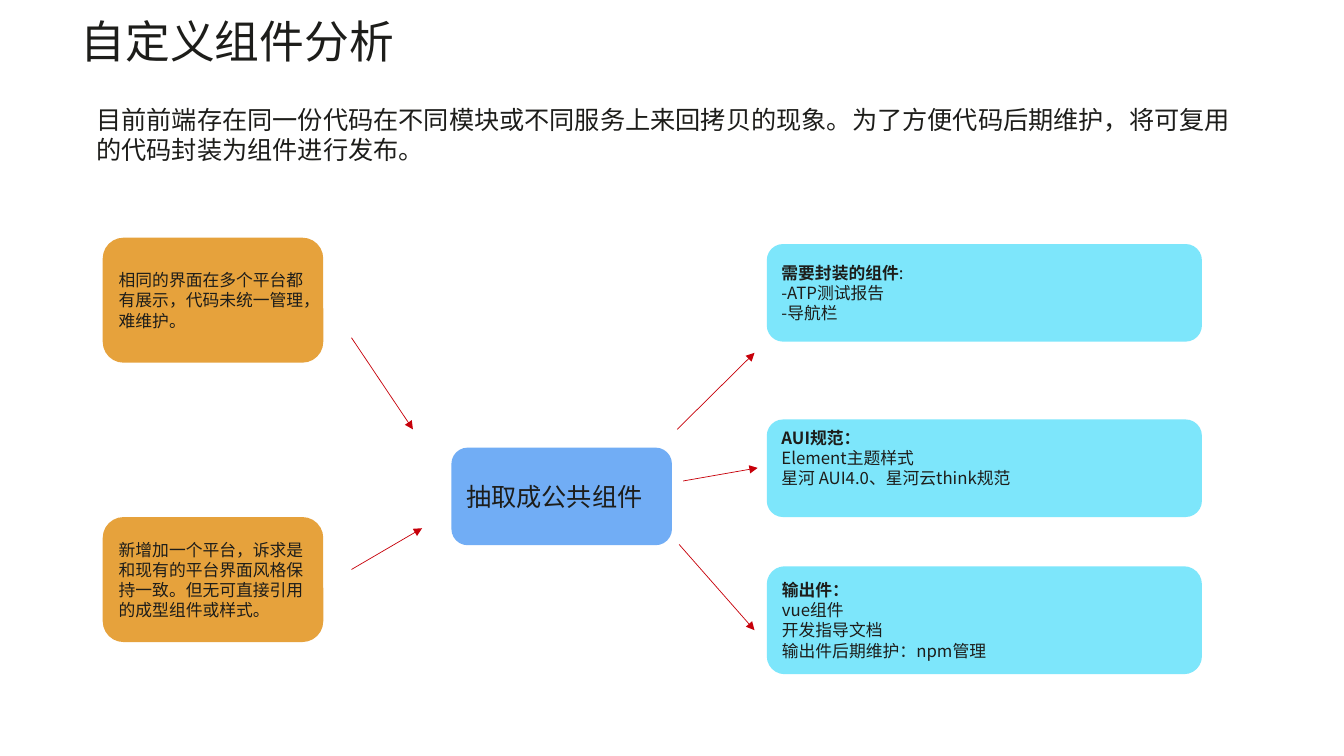
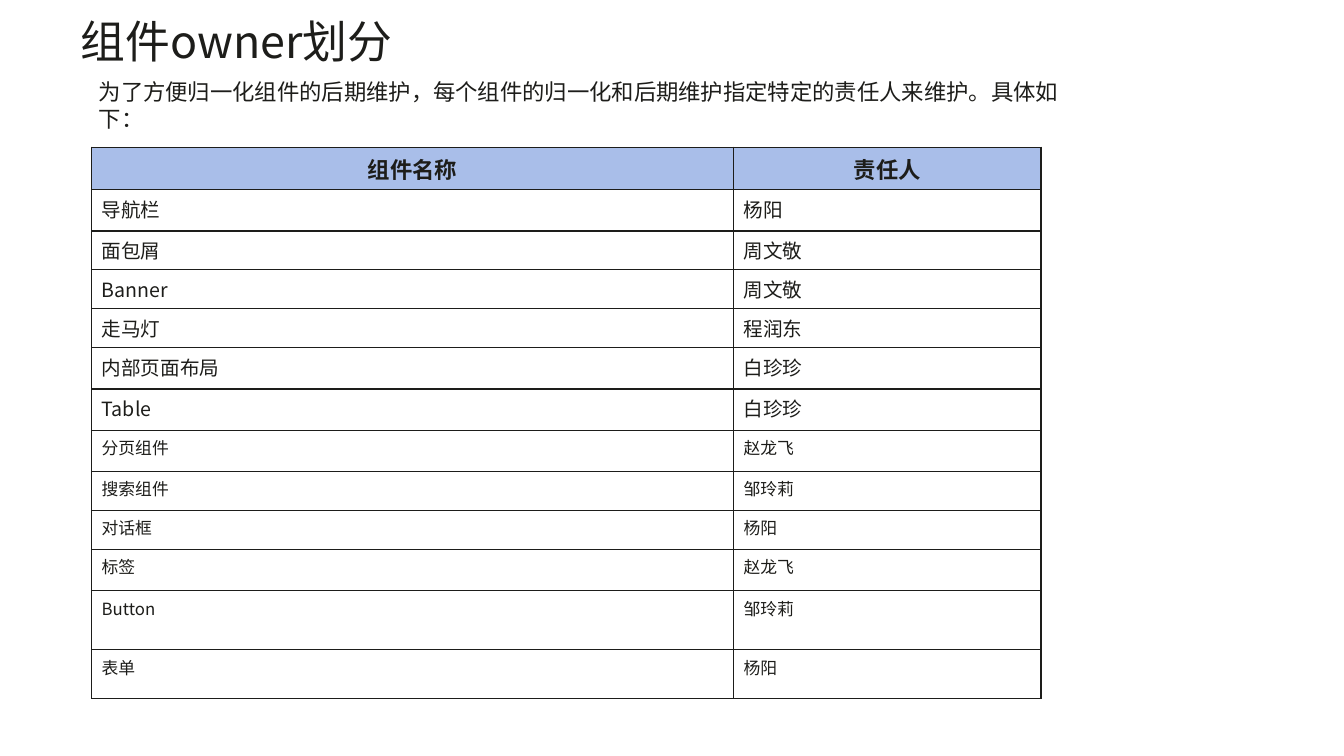
from dataclasses import dataclass

from lxml import etree
from pptx import Presentation
from pptx import util as u
from pptx.dml.color import RGBColor
from pptx.enum import shapes, text
from pptx.oxml import ns


@dataclass(frozen=True)
class Theme:
    ink: str = "1D1D1A"
    problem: str = "E6A23C"
    action: str = "71ADF5"
    result: str = "7DE6FB"
    arrow: str = "C7000A"
    header: str = "A9BEE9"
    sans: str = "Noto Sans CJK SC"
    latin: str = "Arial"
    title_size: int = 32
    title_leading: float = 34.3
    lead_size: int = 18
    table_lead_size: int = 16
    cell_size: int = 14
    small_size: int = 12


THEME = Theme()


def rgb(value):
    return RGBColor.from_string(value)


def cm(*lengths):
    return [u.Cm(length) for length in lengths]


def add_xml(parent, tag, **attributes):
    return etree.SubElement(parent, ns.qn(tag), **attributes)


class Deck:
    def __init__(self, theme):
        self.theme = theme
        self.prs = Presentation()
        self.prs.slide_width, self.prs.slide_height = cm(33.88, 19.05)
        self.slide = None

    def new_slide(self, title):
        self.slide = self.prs.slides.add_slide(self.prs.slide_layouts[6])
        frame = self.text_box(title, self.theme.title_size, 2.03, 0.48, 29.85, 1.6)
        frame.margin_left = frame.margin_right = 0
        frame.margin_top = frame.margin_bottom = 0
        frame.paragraphs[0].line_spacing = u.Pt(self.theme.title_leading)

    def style_text(self, frame, size, bold=False, font=None):
        for paragraph in frame.paragraphs:
            for run in paragraph.runs:
                run.font.size = u.Pt(size)
                run.font.bold = bold
                run.font.name = font or self.theme.sans
                run.font.color.rgb = rgb(self.theme.ink)
                add_xml(run.font._element, "a:ea", typeface=self.theme.sans)

    def text_box(self, words, size, left, top, width, height):
        frame = self.slide.shapes.add_textbox(*cm(left, top, width, height)).text_frame
        frame.word_wrap = True
        frame.text = words
        self.style_text(frame, size)
        return frame

    def card(self, words, fill, left, top, width, height, size=None, font=None):
        box = self.slide.shapes.add_shape(
            shapes.MSO_SHAPE.ROUNDED_RECTANGLE, *cm(left, top, width, height))
        box.shadow.inherit = False
        box.fill.solid()
        box.fill.fore_color.rgb = rgb(fill)
        box.line.fill.background()
        frame = box.text_frame
        frame.word_wrap = True
        frame.vertical_anchor = text.MSO_ANCHOR.MIDDLE
        frame.text = words
        for paragraph in frame.paragraphs:
            paragraph.alignment = text.PP_ALIGN.LEFT
        self.style_text(frame, size or self.theme.small_size, font=font)
        return frame

    def arrow(self, *ends):
        line = self.slide.shapes.add_connector(
            shapes.MSO_CONNECTOR.STRAIGHT, *cm(*ends))
        line.line.color.rgb = rgb(self.theme.arrow)
        line.line.width = u.Pt(0.5)
        add_xml(line.line._get_or_add_ln(), "a:tailEnd", type="triangle")
        add_xml(line._element.spPr, "a:effectLst")

    def outline_cell(self, cell):
        properties = cell._tc.get_or_add_tcPr()
        for position, side in enumerate(("a:lnL", "a:lnR", "a:lnT", "a:lnB")):
            border = add_xml(properties, side, w=str(u.Pt(1)))
            add_xml(add_xml(border, "a:solidFill"), "a:srgbClr", val=self.theme.ink)
            properties.insert(position, border)

    def table(self, rows, left, top, widths, heights, small_from):
        """Draw a header row, then body rows that turn small at small_from."""
        grid = self.slide.shapes.add_table(
            len(rows), len(widths), *cm(left, top, sum(widths), sum(heights))).table
        grid.first_row = grid.horz_banding = False
        for column, width in zip(grid.columns, widths):
            column.width = u.Cm(width)
        for index, (row, height, values) in enumerate(zip(grid.rows, heights, rows)):
            row.height = u.Cm(height)
            for cell, value in zip(row.cells, values):
                frame = cell.text_frame
                frame.text = value
                if index == 0:
                    cell.fill.solid()
                    cell.fill.fore_color.rgb = rgb(self.theme.header)
                    frame.paragraphs[0].alignment = text.PP_ALIGN.CENTER
                    self.style_text(frame, self.theme.table_lead_size, True,
                                    self.theme.latin)
                else:
                    cell.fill.background()
                    small = index >= small_from
                    self.style_text(frame, self.theme.small_size if small
                                    else self.theme.cell_size)
                self.outline_cell(cell)


def build_analysis(deck):
    theme = deck.theme
    deck.new_slide("自定义组件分析")
    deck.text_box("目前前端存在同一份代码在不同模块或不同服务上来回拷贝的现象。"
                  "为了方便代码后期维护，将可复用的代码封装为组件进行发布。",
                  theme.lead_size, 2.18, 2.51, 29.08, 1.8)

    problems = [
        (5.99, theme.sans, "相同的界面在多个平台都有展示，代码未统一管理，难维护。"),
        (13.03, theme.latin, "新增加一个平台，诉求是和现有的平台界面风格保持一致。"
                             "但无可直接引用的成型组件或样式。"),
    ]
    for top, font, words in problems:
        deck.card(words, theme.problem, 2.59, top, 5.56, 3.15, font=font)
    deck.card("抽取成公共组件", theme.action, 11.38, 11.28, 5.56, 2.46,
              theme.lead_size, theme.latin)

    results = [
        (6.15, 2.46, 0.13, "需要封装的组件", ":", ["-ATP测试报告", "-导航栏"]),
        (10.57, 2.46, 0.64, "AUI规范：", "",
         ["Element主题样式", "星河 AUI4.0、星河云think规范"]),
        (14.27, 2.72, 0.13, "输出件：", "",
         ["vue组件", "开发指导文档", "输出件后期维护：npm管理"]),
    ]
    for top, height, bottom_margin, heading, suffix, items in results:
        frame = deck.card("\n".join([heading, *items]), theme.result,
                          19.33, top, 10.97, height)
        frame.margin_bottom = u.Cm(bottom_margin)
        first_line = frame.paragraphs[0]
        first_line.runs[0].font.bold = True
        if suffix:
            colon = first_line.add_run()
            colon.text = suffix
            colon.font.size = u.Pt(theme.small_size)
            colon.font.name = theme.sans
            colon.font.color.rgb = rgb(theme.ink)

    for ends in [(8.86, 8.51, 10.41, 10.82), (8.86, 14.35, 10.64, 13.31),
                 (17.07, 10.82, 19.02, 8.89), (17.22, 12.12, 19.1, 11.79),
                 (17.12, 13.72, 19.02, 15.88)]:
        deck.arrow(*ends)


def build_owners(deck):
    deck.new_slide("组件owner划分")
    owners = [
        ("组件名称", "责任人"),
        ("导航栏", "杨阳"),
        ("面包屑", "周文敬"),
        ("Banner", "周文敬"),
        ("走马灯", "程润东"),
        ("内部页面布局", "白珍珍"),
        ("Table", "白珍珍"),
        ("分页组件", "赵龙飞"),
        ("搜索组件", "邹玲莉"),
        ("对话框", "杨阳"),
        ("标签", "赵龙飞"),
        ("Button", "邹玲莉"),
        ("表单", "杨阳"),
    ]
    low, high = 0.98, 1.04
    heights = [1.07, high, low, low, low, high, high, high, low, low, high, 1.49, 1.24]
    deck.table(owners, 2.31, 3.71, [16.18, 7.75], heights, small_from=7)
    deck.text_box("为了方便归一化组件的后期维护，每个组件的归一化和后期维护"
                  "指定特定的责任人来维护。具体如下：",
                  deck.theme.table_lead_size, 2.24, 1.85, 24.71, 1.63)


def main():
    deck = Deck(THEME)
    build_analysis(deck)
    build_owners(deck)
    deck.prs.save("out.pptx")


if __name__ == "__main__":
    main()
